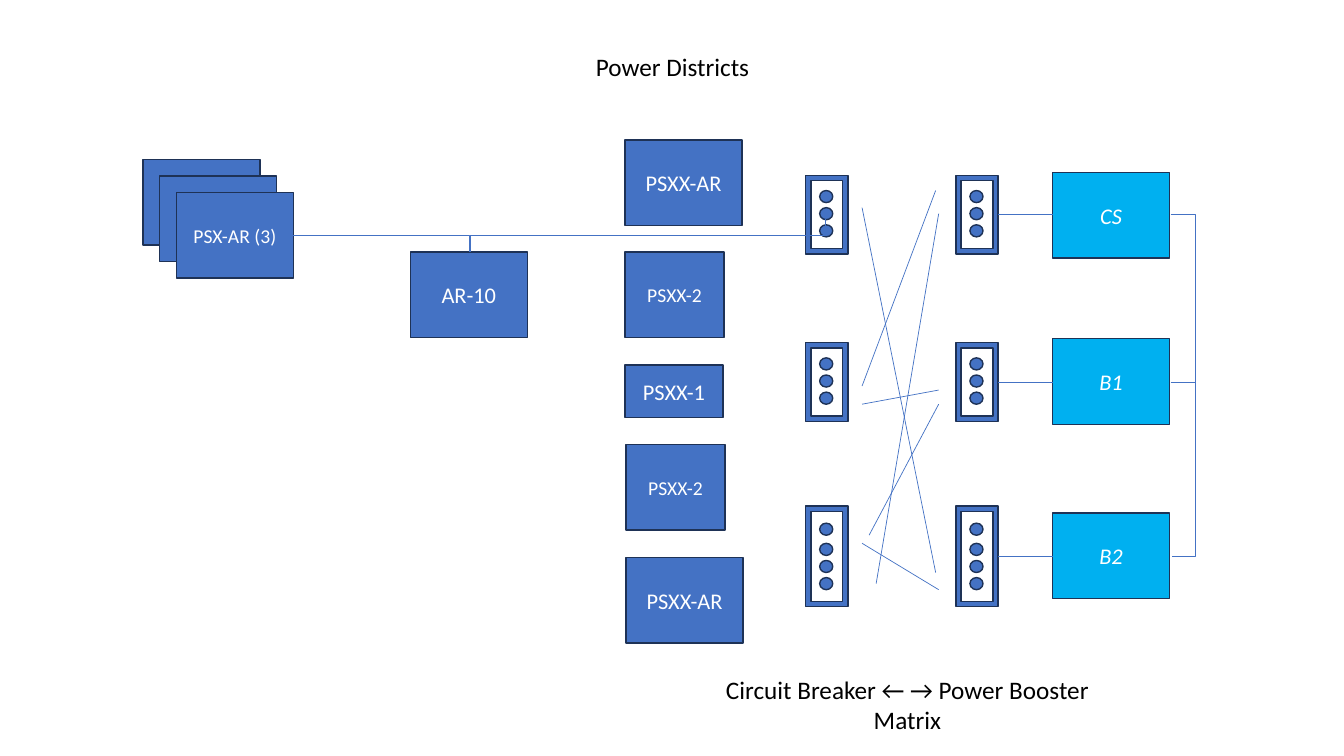
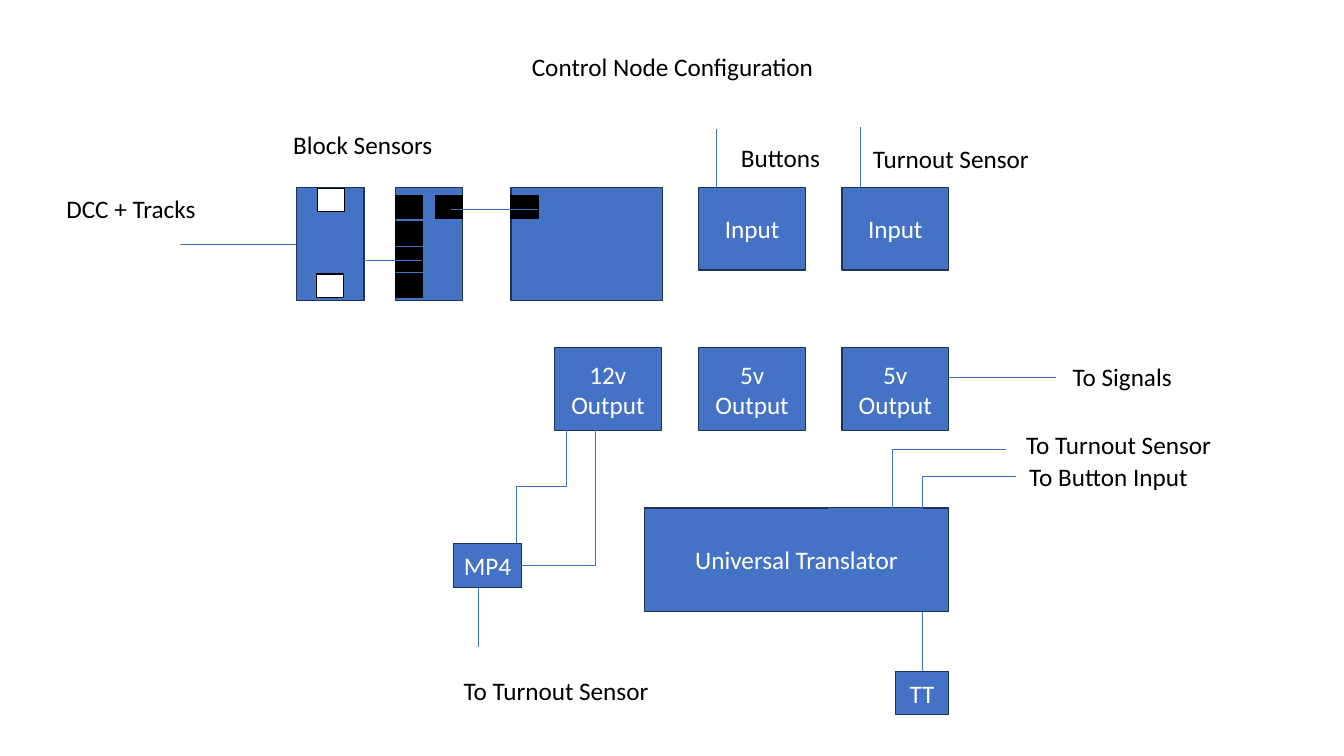
"""Build two diagrams of a model railway: power districts and a control node."""
from dataclasses import dataclass
from typing import Any, Optional

from lxml.etree import SubElement
from pptx import Presentation
from pptx.dml.color import RGBColor
from pptx.enum.shapes import MSO_CONNECTOR as Link, MSO_SHAPE as Preset
from pptx.enum.text import MSO_ANCHOR as Anchor, MSO_AUTO_SIZE as AutoSize, PP_ALIGN as Align
from pptx.oxml.ns import qn
from pptx.util import Inches, Pt

BLUE = RGBColor(0x44, 0x72, 0xC4)
NAVY = RGBColor(0x1E, 0x32, 0x56)
CYAN = RGBColor(0x00, 0xB0, 0xF0)
BLACK = RGBColor(0x00, 0x00, 0x00)
WHITE = RGBColor(0xFF, 0xFF, 0xFF)

FONT = "Calibri"
TITLE_ONLY = 5
BLOCK_WIDTH, BLOCK_HEIGHT = 1.16, 0.85
MODULE_WIDTH, MODULE_HEIGHT = 1.06, 0.82
CHIP_WIDTH, CHIP_HEIGHT = 0.27, 0.23
BREAKER_WIDTH = 0.42
LAMP_WIDTH, LAMP_HEIGHT, LAMP_STEP = 0.13, 0.12, 0.17
BOARD_TOP, BOARD_HEIGHT = 1.86, 1.12


@dataclass
class Block:
    """A rectangle with an optional centred label."""
    left: float
    top: float
    text: str = ""
    size: int = 16
    width: float = BLOCK_WIDTH
    height: float = BLOCK_HEIGHT
    fill: RGBColor = BLUE
    line: RGBColor = NAVY
    italic: bool = False
    preset: Any = Preset.RECTANGLE


@dataclass
class Board:
    """A circuit board carrying chips at the given corners."""
    left: float
    width: float
    chips: list[tuple[float, float]]
    chip_fill: RGBColor = BLACK


@dataclass
class Label:
    """A line of plain text beside the diagram."""
    left: float
    top: float
    text: str
    width: float = 2.2
    height: float = 0.4
    align: Any = Align.LEFT


@dataclass
class Wire:
    """A straight wire, or an elbow if a bend position or a corner is given."""
    start: tuple[float, float]
    end: tuple[float, float]
    bend: Optional[float] = None
    corner: bool = False
    vertical: bool = False


def format_text(shape: Any, size: int, color: RGBColor, align: Any, italic: bool = False) -> None:
    """Apply font and alignment to every paragraph."""
    formats = {"name": FONT, "size": Pt(size), "italic": italic}
    for paragraph in shape.text_frame.paragraphs:
        paragraph.alignment = align
        for name, value in formats.items():
            setattr(paragraph.font, name, value)
        paragraph.font.color.rgb = color


def draw_block(shapes: Any, block: Block) -> None:
    """Draw a filled shape and its label."""
    shape = shapes.add_shape(block.preset, Inches(block.left), Inches(block.top),
                             Inches(block.width), Inches(block.height))
    shape.shadow.inherit = False
    shape.fill.solid()
    shape.fill.fore_color.rgb = block.fill
    shape.line.color.rgb = block.line
    shape.line.width = Pt(1)
    if block.text:
        shape.text_frame.text = block.text
        shape.text_frame.word_wrap = True
        shape.text_frame.vertical_anchor = Anchor.MIDDLE
        format_text(shape, block.size, WHITE, Align.CENTER, block.italic)


def draw_breaker(shapes: Any, left: float, top: float, lamps: int) -> None:
    """Draw a framed column of lamps as one group."""
    group = shapes.add_group_shape().shapes
    height = 0.78 if lamps == 3 else 1.0
    draw_block(group, Block(left, top, width=BREAKER_WIDTH, height=height, preset=Preset.FRAME))
    first = top + height - 0.29 - (lamps - 1) * LAMP_STEP
    for index in range(lamps):
        raised = 0.03 if lamps == 4 and index == 0 else 0
        draw_block(group, Block(left + 0.14, first + index * LAMP_STEP - raised,
                                width=LAMP_WIDTH, height=LAMP_HEIGHT, preset=Preset.OVAL))


def draw_board(shapes: Any, board: Board) -> None:
    """Draw a board and its chips as one group."""
    group = shapes.add_group_shape().shapes
    draw_block(group, Block(board.left, BOARD_TOP, width=board.width, height=BOARD_HEIGHT))
    for left, top in board.chips:
        draw_block(group, Block(left, top, width=CHIP_WIDTH, height=CHIP_HEIGHT,
                                fill=board.chip_fill, line=BLACK))


def draw_label(shapes: Any, label: Label) -> None:
    """Draw a text box."""
    shape = shapes.add_textbox(Inches(label.left), Inches(label.top),
                               Inches(label.width), Inches(label.height))
    shape.text_frame.word_wrap = True
    shape.text_frame.text = label.text
    format_text(shape, 18, BLACK, label.align)


def draw_wire(shapes: Any, wire: Wire) -> None:
    """Draw a connector; a vertical one is an elbow turned by a quarter."""
    (x1, y1), (x2, y2) = wire.start, wire.end
    if wire.vertical:
        middle_x, middle_y = (x1 + x2) / 2, (y1 + y2) / 2
        half_width, half_height = abs(y2 - y1) / 2, abs(x2 - x1) / 2
        x1, x2 = middle_x - half_width, middle_x + half_width
        y1, y2 = middle_y - half_height, middle_y + half_height
    elbow = wire.corner or wire.bend is not None
    connector = shapes.add_connector(Link.ELBOW if elbow else Link.STRAIGHT,
                                     Inches(x1), Inches(y1), Inches(x2), Inches(y2))
    connector.line.color.rgb = BLUE
    connector.line.width = Pt(0.5)
    properties = connector._element.spPr
    SubElement(properties, qn("a:effectLst"))
    geometry = properties.find(qn("a:prstGeom"))
    if wire.vertical:
        properties.find(qn("a:xfrm")).set("rot", "5400000")
    if wire.corner:
        geometry.set("prst", "bentConnector2")
    elif wire.bend is not None:
        adjustments = geometry.find(qn("a:avLst"))
        if adjustments is None:
            adjustments = SubElement(geometry, qn("a:avLst"))
        SubElement(adjustments, qn("a:gd"), name="adj1", fmla=f"val {round(wire.bend * 100000)}")


def add_titled_slide(presentation: Any, title: str) -> Any:
    """Add a slide with the shared title style and return its shapes."""
    shapes = presentation.slides.add_slide(presentation.slide_layouts[TITLE_ONLY]).shapes
    shape = shapes.title
    box = {"left": 4.67, "top": 0.46, "width": 4, "height": 0.4}
    for name, value in box.items():
        setattr(shape, name, Inches(value))
    shape.text_frame.text = title
    frame_formats = {"auto_size": AutoSize.NONE, "vertical_anchor": Anchor.TOP, "word_wrap": True}
    for name, value in frame_formats.items():
        setattr(shape.text_frame, name, value)
    format_text(shape, 18, BLACK, Align.CENTER)
    return shapes


def build_power_districts(presentation: Any) -> None:
    """Build the slide with breakers, boosters and their matrix."""
    shapes = add_titled_slide(presentation, "Power Districts")
    stack = [Block(1.42 + 0.165 * index, 1.58 + 0.165 * index, text, 14)
             for index, text in enumerate(("", "", "PSX-AR (3)"))]
    supplies = [
        Block(6.2, 1.39, "PSXX-AR"),
        Block(6.2, 2.5, "PSXX-2", 14, 0.98),
        Block(6.2, 3.62, "PSXX-1", 16, 0.97, 0.52),
        Block(6.21, 4.41, "PSXX-2", 14, 0.98),
        Block(6.21, 5.53, "PSXX-AR"),
    ]
    boosters = [Block(10.44, top, text, fill=CYAN, italic=True)
                for top, text in ((1.71, "CS"), (3.36, "B1"), (5.09, "B2"))]
    for block in [*stack, Block(4.07, 2.5, "AR-10"), *supplies, *boosters]:
        draw_block(shapes, block)
    for left in (7.99, 9.48):
        for top, lamps in ((1.74, 3), (3.4, 3), (5.02, 4)):
            draw_breaker(shapes, left, top, lamps)
    matrix = [
        Wire((8.55, 2.06), (9.28, 5.68)),
        Wire((9.31, 2.12), (8.69, 5.79)),
        Wire((8.55, 3.83), (9.28, 1.89)),
        Wire((8.55, 5.39), (9.31, 5.85)),
        Wire((8.55, 4.01), (9.31, 3.87)),
        Wire((8.62, 5.31), (9.31, 4.01)),
    ]
    feeds = [Wire((9.9, y), (10.44, y)) for y in (2.13, 3.79, 5.52)]
    buses = [
        Wire((11.61, 2.13), (11.62, 3.79), bend=25),
        Wire((11.61, 3.79), (11.62, 5.52), bend=25),
        Wire((8.19, 2.17), (4.66, 2.5), bend=0.5, vertical=True),
        Wire((2.91, 2.34), (4.66, 2.5), corner=True),
    ]
    for wire in matrix + feeds + buses:
        draw_wire(shapes, wire)
    draw_label(shapes, Label(6.9, 6.64, "Circuit Breaker ← → Power Booster\nMatrix",
                             4.2, 0.71, Align.CENTER))


def build_control_node(presentation: Any) -> None:
    """Build the slide with sensor boards, modules and their wiring."""
    shapes = add_titled_slide(presentation, "Control Node Configuration")
    modules = [Block(left, top, text, 18, MODULE_WIDTH, MODULE_HEIGHT) for left, top, text in (
        (6.93, 1.86, "Input"),
        (8.35, 1.86, "Input"),
        (5.5, 3.45, "12v Output"),
        (6.93, 3.45, "5v\nOutput"),
        (8.35, 3.45, "5v\nOutput"),
    )]
    devices = [
        Block(6.39, 5.04, "Universal Translator", 18, 3.02, 1.03),
        Block(8.88, 6.66, "TT", 18, 0.53, 0.43),
        Block(4.5, 5.39, "MP4", 18, 0.67, 0.44),
    ]
    for block in modules + devices:
        draw_block(shapes, block)
    chip_column = [(3.92, 1.94 + 0.26 * index) for index in range(4)]
    for board in (
        Board(5.07, 1.5, [(5.07, 1.94)]),
        Board(3.92, 0.67, [(4.32, 1.94), *chip_column]),
        Board(2.94, 0.67, [(3.15, 1.87), (3.14, 2.72)], WHITE),
    ):
        draw_board(shapes, board)
    for wire in (
        Wire((7.11, 1.86), (7.11, 1.28)),
        Wire((8.53, 1.86), (8.53, 1.26)),
        Wire((9.15, 6.66), (9.15, 6.07)),
        Wire((4.74, 6.42), (4.74, 5.83)),
        Wire((9.41, 3.74), (10.47, 3.74)),
        Wire((1.79, 2.42), (2.94, 2.42)),
        Wire((4.47, 2.08), (5.34, 2.08)),
        Wire((3.61, 2.58), (4.19, 2.58)),
        Wire((10.08, 4.73), (8.21, 5.04), bend=0.5),
        Wire((9.98, 4.46), (8.84, 5.04), bend=0.99),
        Wire((5.62, 4.27), (5.12, 5.39), bend=0.5, vertical=True),
        Wire((5.17, 5.61), (5.91, 4.27), corner=True),
    ):
        draw_wire(shapes, wire)
    for label in (
        Label(7.25, 1.36, "Buttons", 1.07),
        Label(8.56, 1.37, "Turnout Sensor"),
        Label(2.81, 1.23, "Block Sensors"),
        Label(0.56, 1.87, "DCC + Tracks"),
        Label(10.54, 3.54, "To Signals"),
        Label(10.08, 4.21, "To Turnout Sensor"),
        Label(10.11, 4.53, "To Button Input"),
        Label(4.5, 6.65, "To Turnout Sensor"),
    ):
        draw_label(shapes, label)


def main() -> None:
    """Create and save the presentation."""
    presentation = Presentation()
    presentation.slide_width = Inches(13.33)
    presentation.slide_height = Inches(7.5)
    build_power_districts(presentation)
    build_control_node(presentation)
    presentation.save("out.pptx")


if __name__ == "__main__":
    main()
